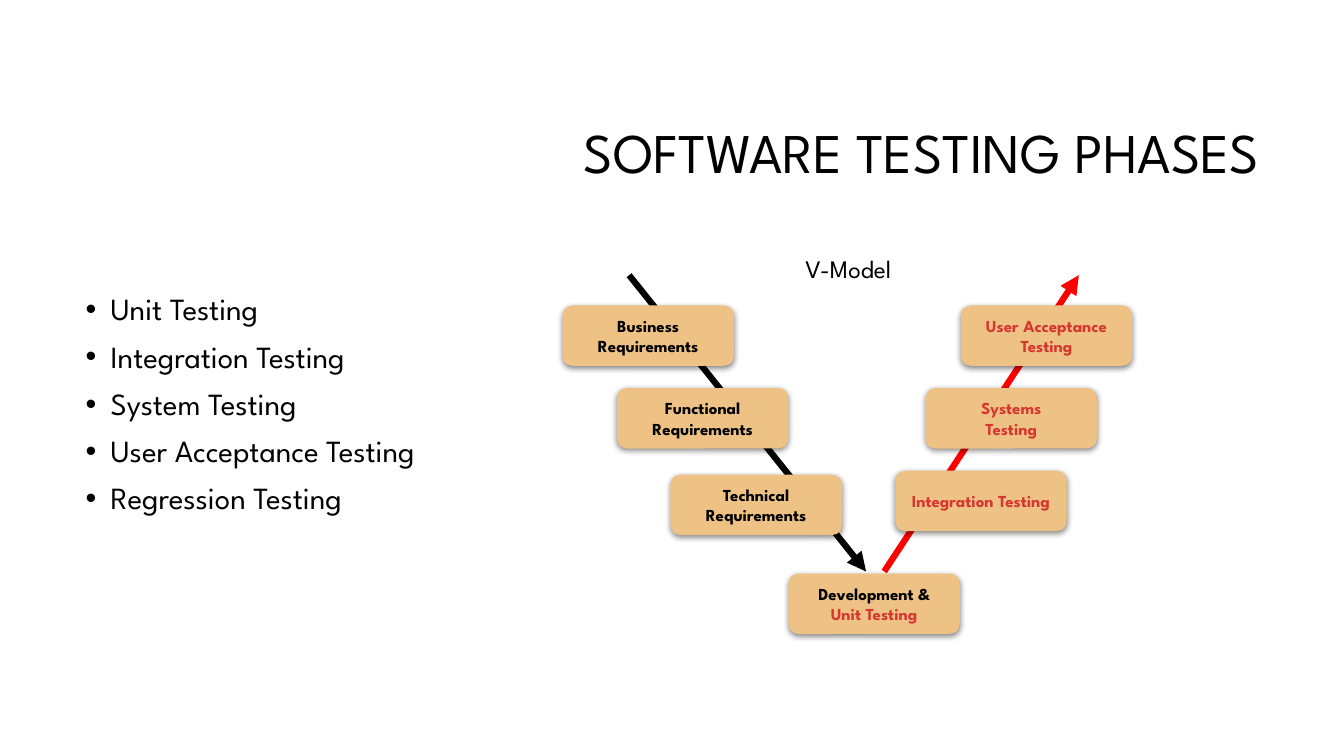
from dataclasses import dataclass
from pptx import Presentation
from pptx.dml.color import RGBColor as RGB
from pptx.enum.shapes import MSO_CONNECTOR as Line, MSO_SHAPE as Shape
from pptx.enum.text import MSO_ANCHOR as Anchor, MSO_AUTO_SIZE as Auto, PP_ALIGN as Align
from pptx.oxml import parse_xml
from pptx.oxml.ns import nsdecls
from pptx.util import Inches, Pt


@dataclass(frozen=True)
class Theme:
    """Colours, font and type sizes of the slide."""
    font: str = "League Spartan"
    ink: RGB = RGB(0, 0, 0)
    red: RGB = RGB(0xD6, 0x37, 0x31)
    arrow: RGB = RGB(0xFF, 0, 0)
    tan: RGB = RGB(0xEE, 0xC2, 0x84)
    head: int = 40
    body: int = 22
    label: int = 18
    small: int = 12


THEME = Theme()
NODE = (1.7, 0.6)
PHASES = ["Unit Testing", "Integration Testing", "System Testing",
          "User Acceptance Testing", "Regression Testing"]
NEEDS = [(0, 0.57, "Business Requirements"),
         (0.54, 1.39, "Functional Requirements"),
         (1.07, 2.25, "Technical Requirements")]
TESTS = [(3.3, 2.21, "Integration Testing"),
         (3.6, 1.39, "Systems\nTesting"),
         (3.95, 0.57, "User Acceptance Testing")]


def style(run, size, color=THEME.ink, bold=False):
    """Format one run."""
    font = run.font
    font.name, font.size, font.bold = THEME.font, Pt(size), bold
    font.color.rgb = color


def add_title(slide, box, text):
    """Move the title placeholder into the box and format it."""
    title = slide.shapes.title
    title.left, title.top, title.width, title.height = map(Inches, box)
    frame = title.text_frame
    frame.text = text
    frame.auto_size, frame.vertical_anchor = Auto.NONE, Anchor.MIDDLE
    para = frame.paragraphs[0]
    para.alignment, para.line_spacing = Align.RIGHT, 0.9
    style(para.runs[0], THEME.head)


def add_list(slide, box, items):
    """Fill the box with a bulleted list."""
    frame = slide.shapes.add_textbox(*map(Inches, box)).text_frame
    frame.word_wrap = True
    frame.text = "\n".join(items)
    for para in frame.paragraphs:
        para.line_spacing, para.space_before = 0.9, Pt(10)
        props = para._p.get_or_add_pPr()
        props.set("marL", str(Inches(0.25)))
        props.set("indent", str(-Inches(0.25)))
        props.append(parse_xml(f'<a:buFont {nsdecls("a")} typeface="Arial"/>'))
        props.append(parse_xml(f'<a:buChar {nsdecls("a")} char="•"/>'))
        style(para.runs[0], THEME.body)


def add_arrow(slide, start, end, color):
    """Draw a thick arrow between two points."""
    line = slide.shapes.add_connector(Line.STRAIGHT, *map(Inches, start + end))
    line.line.color.rgb, line.line.width = color, Pt(4.5)
    line.line._get_or_add_ln().append(
        parse_xml(f'<a:tailEnd {nsdecls("a")} type="triangle"/>'))
    line._element.spPr.append(parse_xml(f'<a:effectLst {nsdecls("a")}/>'))


def add_node(slide, left, top, text, color):
    """Draw a rounded box with a soft shadow and return its paragraphs."""
    node = slide.shapes.add_shape(Shape.ROUNDED_RECTANGLE,
                                  *map(Inches, (left, top) + NODE))
    node.fill.solid()
    node.fill.fore_color.rgb = THEME.tan
    node.line.fill.background()
    node._element.spPr.append(parse_xml(
        f'<a:effectLst {nsdecls("a")}><a:outerShdw blurRad="{Pt(4.5)}" '
        f'dist="{Pt(1.5)}" dir="5400000" algn="ctr" rotWithShape="0">'
        '<a:srgbClr val="000000"><a:alpha val="48000"/></a:srgbClr>'
        '</a:outerShdw></a:effectLst>'))
    frame = node.text_frame
    frame.text, frame.word_wrap = text, True
    frame.vertical_anchor = Anchor.MIDDLE
    for para in frame.paragraphs:
        para.alignment = Align.CENTER
        style(para.runs[0], THEME.small, color, True)
    return frame.paragraphs


def add_model(slide, x, y):
    """Draw the V-Model from its top left corner."""
    sides = [((0.66, 0.27), (3.01, 3.21), THEME.ink, NEEDS, THEME.ink),
             ((3.19, 3.21), (5.12, 0.27), THEME.arrow, TESTS, THEME.red)]
    for start, end, stroke, nodes, color in sides:
        add_arrow(slide, (x + start[0], y + start[1]),
                  (x + end[0], y + end[1]), stroke)
        for left, top, text in nodes:
            add_node(slide, x + left, y + top, text, color)
    base = add_node(slide, x + 2.24, y + 3.23, "Development & ", THEME.ink)
    unit = base[0].add_run()
    unit.text = "Unit Testing"
    style(unit, THEME.small, THEME.red, True)
    label = slide.shapes.add_textbox(
        *map(Inches, (x + 2.31, y, 1.25, 0.4))).text_frame
    label.text, label.word_wrap = "V-Model", False
    style(label.paragraphs[0].runs[0], THEME.label)


def main():
    """Build and save the slide."""
    deck = Presentation()
    deck.slide_width, deck.slide_height = Inches(13.33), Inches(7.5)
    slide = deck.slides.add_slide(deck.slide_layouts.get_by_name("Title Only"))
    add_title(slide, (3.17, 0.84, 9.42, 1.41), "SOFTWARE TESTING PHASES")
    add_list(slide, (0.75, 2.87, 4.5, 2.6), PHASES)
    add_model(slide, 5.58, 2.46)
    deck.save("out.pptx")


if __name__ == "__main__":
    main()
